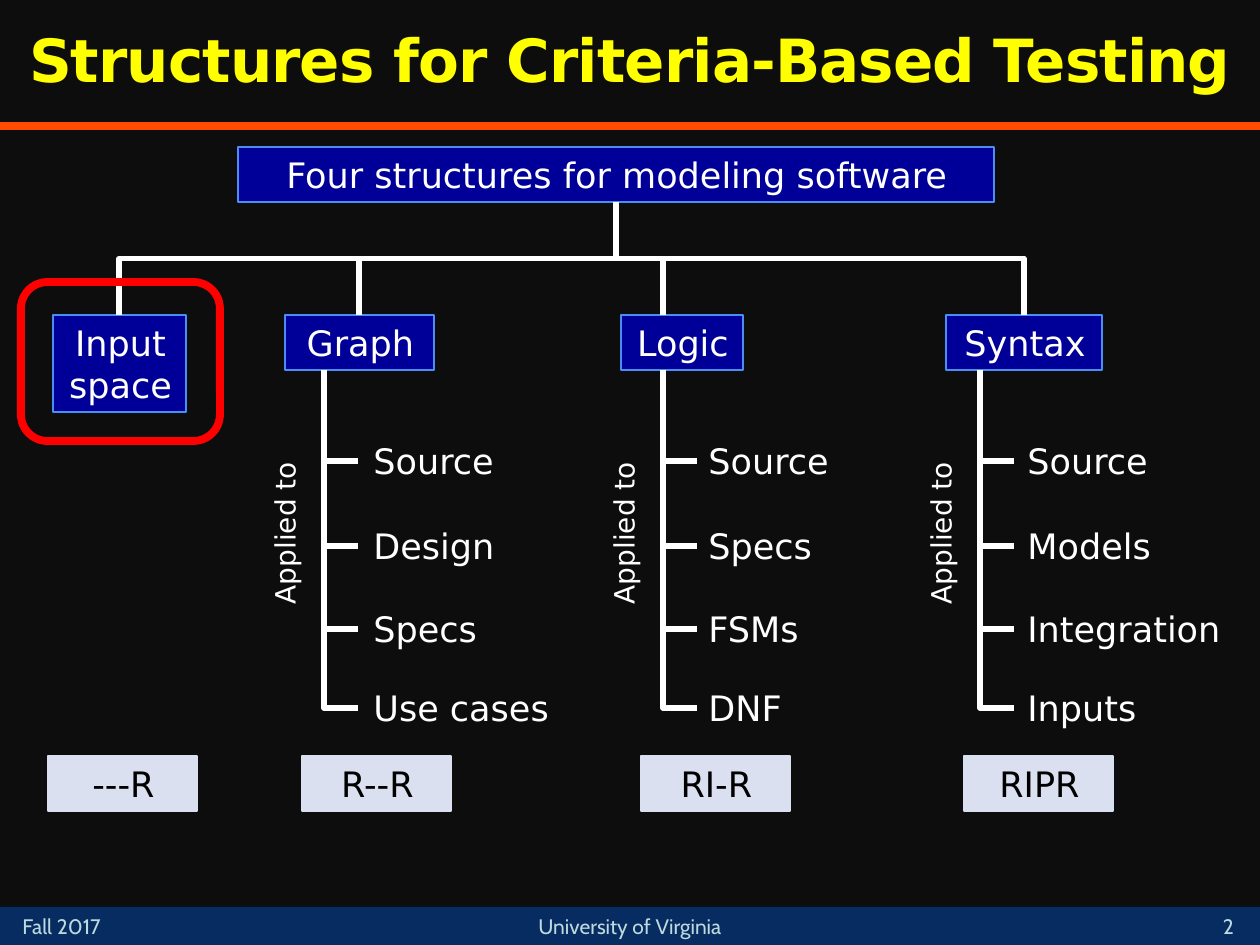
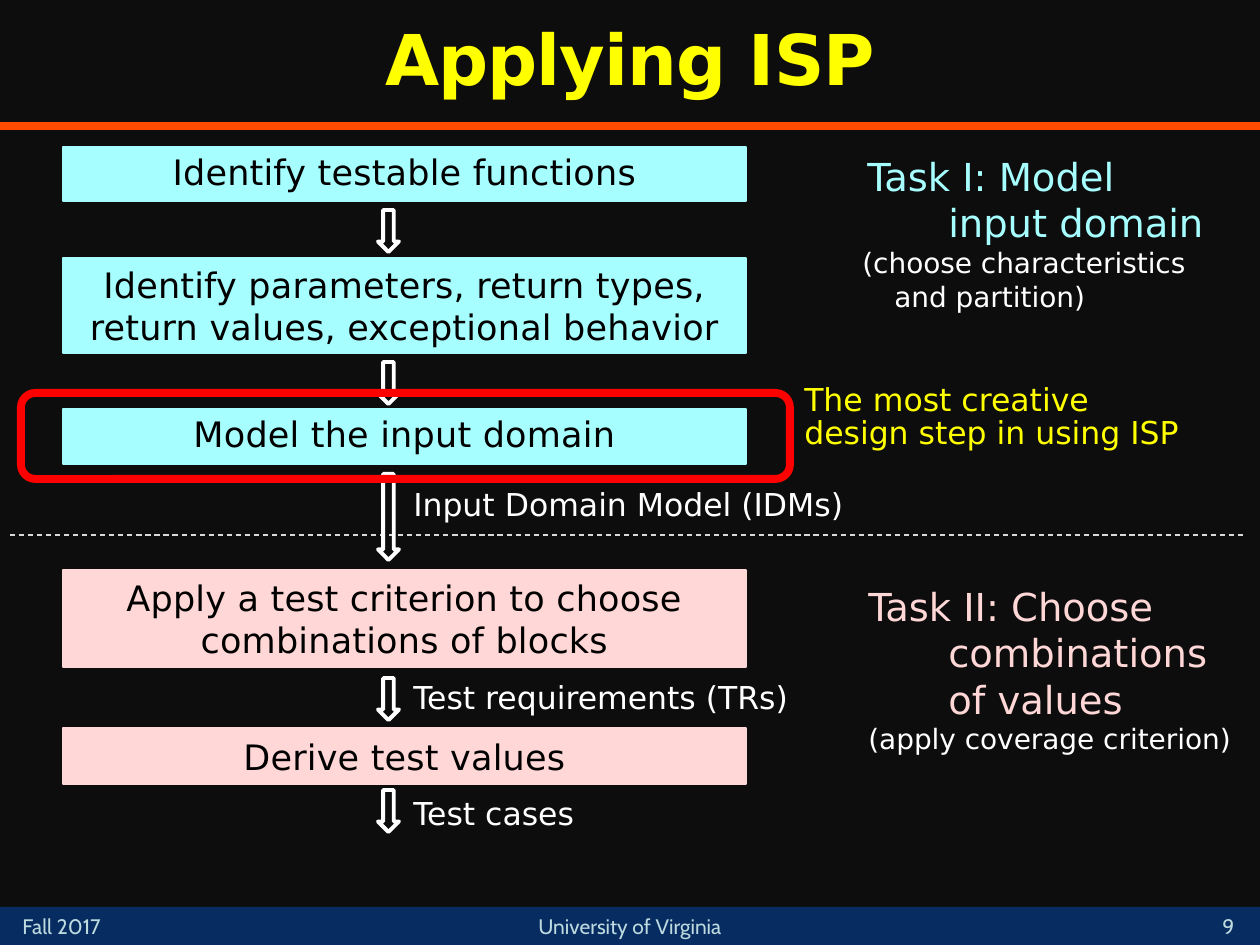
from dataclasses import dataclass
from typing import Optional

from lxml.etree import SubElement
from pptx import Presentation
from pptx.dml.color import RGBColor
from pptx.enum.dml import MSO_LINE
from pptx.enum.shapes import MSO_CONNECTOR, MSO_SHAPE
from pptx.enum.text import MSO_ANCHOR, PP_ALIGN
from pptx.oxml.ns import qn
from pptx.util import Emu, Pt

EMU_PER_PX = 914400 / 126
WIDTH, HEIGHT = 1260, 945
BODY_FONT, FOOTER_FONT = "DejaVu Sans", "Cabin"
COLORS = {
    "background": "0D0D0D",
    "footer": "072C62",
    "footer_text": "BDDADF",
    "rule": "FF4C00",
    "title": "FFFF00",
    "node": "000099",
    "node_edge": "4A8EF2",
    "tag": "DAE0EF",
    "highlight": "FF0000",
    "model": "A7FEFF",
    "choose": "FFD7D6",
    "divider": "D9D9D9",
    "light": "FFFFFF",
    "dark": "000000",
}


@dataclass(frozen=True)
class Area:
    left: int
    top: int
    width: int
    height: int

    @property
    def center(self) -> int:
        return self.left + self.width // 2

    @property
    def bottom(self) -> int:
        return self.top + self.height


@dataclass(frozen=True)
class Structure:
    name: str
    box: Area
    trunk: int
    item_left: int
    items: tuple[str, ...]
    tag: str
    tag_left: int
    drop: int


@dataclass(frozen=True)
class Step:
    text: str
    top: int
    height: int
    color: str
    spacing: Optional[float] = None


@dataclass(frozen=True)
class Flow:
    top: int
    height: int
    label: str = ""
    label_top: int = 0


ROOT = Area(238, 147, 756, 55)
STRUCTURES = (
    Structure("Input space", Area(53, 315, 133, 97), 0, 0, (), "---R", 48, 119),
    Structure("Graph", Area(285, 315, 149, 55), 324, 359,
              ("Source", "Design", "Specs", "Use cases"), "R--R", 302, 359),
    Structure("Logic", Area(621, 315, 122, 55), 663, 694,
              ("Source", "Specs", "FSMs", "DNF"), "RI-R", 641, 663),
    Structure("Syntax", Area(946, 315, 156, 55), 980, 1013,
              ("Source", "Models", "Integration", "Inputs"), "RIPR", 964, 1024),
)
ITEM_TOPS = (433, 518, 601, 680)

STEPS = (
    Step("Identify testable functions", 147, 54, "model", 0.9),
    Step("Identify parameters, return types, return values, exceptional behavior",
         258, 95, "model"),
    Step("Model the input domain", 409, 55, "model", 0.9),
    Step("Apply a test criterion to choose combinations of blocks", 570, 97, "choose"),
    Step("Derive test values", 728, 56, "choose"),
)
FLOWS = (
    Flow(210, 42),
    Flow(362, 42),
    Flow(474, 86, "Input Domain Model (IDMs)", 479),
    Flow(678, 42, "Test requirements (TRs)", 672),
    Flow(790, 42, "Test cases", 788),
)


def px(length: float) -> Emu:
    return Emu(round(length * EMU_PER_PX))


def rgb(name: str) -> RGBColor:
    return RGBColor.from_string(COLORS[name])


def write(box, text: str, *, size: float = 20, color: str = "light",
          font: str = BODY_FONT, bold: bool = False, align=PP_ALIGN.LEFT,
          anchor=MSO_ANCHOR.TOP, margin: int = 0, indent: int = 0,
          spacing=None, tracking: int = 0) -> None:
    frame = box.text_frame
    frame.word_wrap = True
    frame.vertical_anchor = anchor
    para = frame.add_paragraph() if frame.text else frame.paragraphs[0]
    para.alignment = align
    para.line_spacing = spacing
    properties = para._p.get_or_add_pPr()
    properties.set("marL", str(px(margin)))
    properties.set("indent", str(px(indent)))
    span = para.add_run()
    span.text = text
    span.font.name = font
    span.font.size = Pt(size)
    span.font.bold = bold
    span.font.color.rgb = rgb(color)
    if tracking:
        span._r.get_or_add_rPr().set("spc", str(tracking))


def add_box(page, area: Area):
    return page.shapes.add_textbox(
        px(area.left), px(area.top), px(area.width), px(area.height))


def add_shape(page, kind, area: Area, fill: Optional[str] = None,
              edge: Optional[str] = None, weight: float = 0.75):
    shape = page.shapes.add_shape(
        kind, px(area.left), px(area.top), px(area.width), px(area.height))
    shape.shadow.inherit = False
    if fill:
        shape.fill.solid()
        shape.fill.fore_color.rgb = rgb(fill)
    else:
        shape.fill.background()
    if edge:
        shape.line.color.rgb = rgb(edge)
        shape.line.width = Pt(weight)
    else:
        shape.line.fill.background()
    return shape


def style_connector(connector, color: str, weight: float) -> None:
    connector.line.color.rgb = rgb(color)
    connector.line.width = Pt(weight)
    SubElement(connector._element.spPr, qn("a:effectLst"))


def add_rule(page, left: int, right: int, y: int, color: str, weight: float,
             dash=None) -> None:
    rule = page.shapes.add_connector(
        MSO_CONNECTOR.STRAIGHT, px(left), px(y), px(right), px(y))
    if dash:
        rule.line.dash_style = dash
    style_connector(rule, color, weight)


def add_downward_elbow(page, start: tuple[int, int], end: tuple[int, int],
                       preset: str) -> None:
    (x1, y1), (x2, y2) = start, end
    drop, reach = y2 - y1, abs(x2 - x1)
    left, top = (x1 + x2 - drop) / 2, (y1 + y2 - reach) / 2
    elbow = page.shapes.add_connector(
        MSO_CONNECTOR.ELBOW, px(left), px(top), px(left + drop), px(top + reach))
    properties = elbow._element.spPr
    properties.find(qn("a:prstGeom")).set("prst", preset)
    if x2 > x1:
        elbow.rotation = 270
        properties.find(qn("a:xfrm")).set("flipH", "1")
    else:
        elbow.rotation = 90
    style_connector(elbow, "light", 3)


def add_page(deck, title: str, title_size: int, number: int):
    page = deck.slides.add_slide(deck.slide_layouts[6])
    page.background.fill.solid()
    page.background.fill.fore_color.rgb = rgb("background")
    add_shape(page, MSO_SHAPE.RECTANGLE, Area(0, 907, WIDTH, 38), "footer")
    add_rule(page, 0, WIDTH, 126, "rule", 4.5)
    footer = {"size": 12, "font": FOOTER_FONT, "color": "footer_text"}
    write(add_box(page, Area(10, 907, 147, 38)), "Fall 2017", **footer)
    write(add_box(page, Area(1197, 903, 63, 42)), str(number),
          align=PP_ALIGN.CENTER, anchor=MSO_ANCHOR.BOTTOM, **footer)
    write(add_box(page, Area(462, 907, 336, 38)), "University of Virginia",
          align=PP_ALIGN.CENTER, **footer)
    write(add_box(page, Area(0, 0, WIDTH, 126)), title, size=title_size,
          color="title", bold=True, align=PP_ALIGN.CENTER,
          anchor=MSO_ANCHOR.MIDDLE, spacing=0.9, tracking=-50)
    return page


def add_node(page, text: str, area: Area) -> None:
    node = add_shape(page, MSO_SHAPE.RECTANGLE, area, "node", "node_edge")
    write(node, text, align=PP_ALIGN.CENTER, margin=2)


def add_structure(page, structure: Structure) -> None:
    add_node(page, structure.name, structure.box)
    for item, top in zip(structure.items, ITEM_TOPS):
        write(add_box(page, Area(structure.item_left, top, 233, 55)), item, margin=2)
        add_downward_elbow(page, (structure.trunk, structure.box.bottom),
                           (structure.trunk + 34, top + 28), "bentConnector2")
    if structure.items:
        caption = add_box(page, Area(structure.trunk - 141, 493, 204, 47))
        caption.rotation = 270
        write(caption, "Applied to", size=16, margin=2)
    add_downward_elbow(page, (ROOT.center, ROOT.bottom),
                       (structure.drop, structure.box.top), "bentConnector3")
    tag = add_shape(page, MSO_SHAPE.RECTANGLE, Area(structure.tag_left, 756, 149, 55),
                    "tag", "tag")
    write(tag, structure.tag, color="dark", align=PP_ALIGN.CENTER, margin=2)


def add_highlight(page, area: Area) -> None:
    add_shape(page, MSO_SHAPE.ROUNDED_RECTANGLE, area, edge="highlight", weight=4.5)


def build_structures(deck) -> None:
    page = add_page(deck, "Structures for Criteria-Based Testing", 34, 2)
    add_node(page, "Four structures for modeling software", ROOT)
    for structure in STRUCTURES:
        add_structure(page, structure)
    add_highlight(page, Area(21, 282, 199, 159))


def build_process(deck) -> None:
    page = add_page(deck, "Applying ISP", 40, 9)
    for step in STEPS:
        box = add_shape(page, MSO_SHAPE.RECTANGLE, Area(63, step.top, 683, step.height),
                        step.color, step.color, 1.5)
        write(box, step.text, color="dark", align=PP_ALIGN.CENTER,
              anchor=MSO_ANCHOR.MIDDLE, spacing=step.spacing, tracking=10)
    add_rule(page, 10, 1244, 535, "divider", 0.75, MSO_LINE.DASH)
    for flow in FLOWS:
        add_shape(page, MSO_SHAPE.DOWN_ARROW, Area(378, flow.top, 21, flow.height),
                  edge="light", weight=2.25)
        if flow.label:
            write(add_box(page, Area(386, flow.label_top, 567, 50)), flow.label,
                  size=18, margin=15)
    add_highlight(page, Area(21, 393, 769, 86))

    task = add_box(page, Area(840, 147, 404, 174))
    write(task, "Task I: Model", size=22, color="model", margin=15)
    write(task, "input domain", size=22, color="model", margin=96)
    write(task, "(choose characteristics and partition)", size=16, margin=42, indent=-32)
    task = add_box(page, Area(840, 577, 420, 186))
    write(task, "Task II: Choose combinations of values", size=22, color="choose",
          margin=96, indent=-80)
    write(task, "(apply coverage criterion)", size=16, margin=96, indent=-80)
    write(add_box(page, Area(777, 378, 431, 79)),
          "The most creative design step in using ISP", size=18, color="title",
          margin=15, spacing=Pt(19))


def main() -> None:
    deck = Presentation()
    deck.slide_width, deck.slide_height = px(WIDTH), px(HEIGHT)
    build_structures(deck)
    build_process(deck)
    deck.save("out.pptx")


if __name__ == "__main__":
    main()
